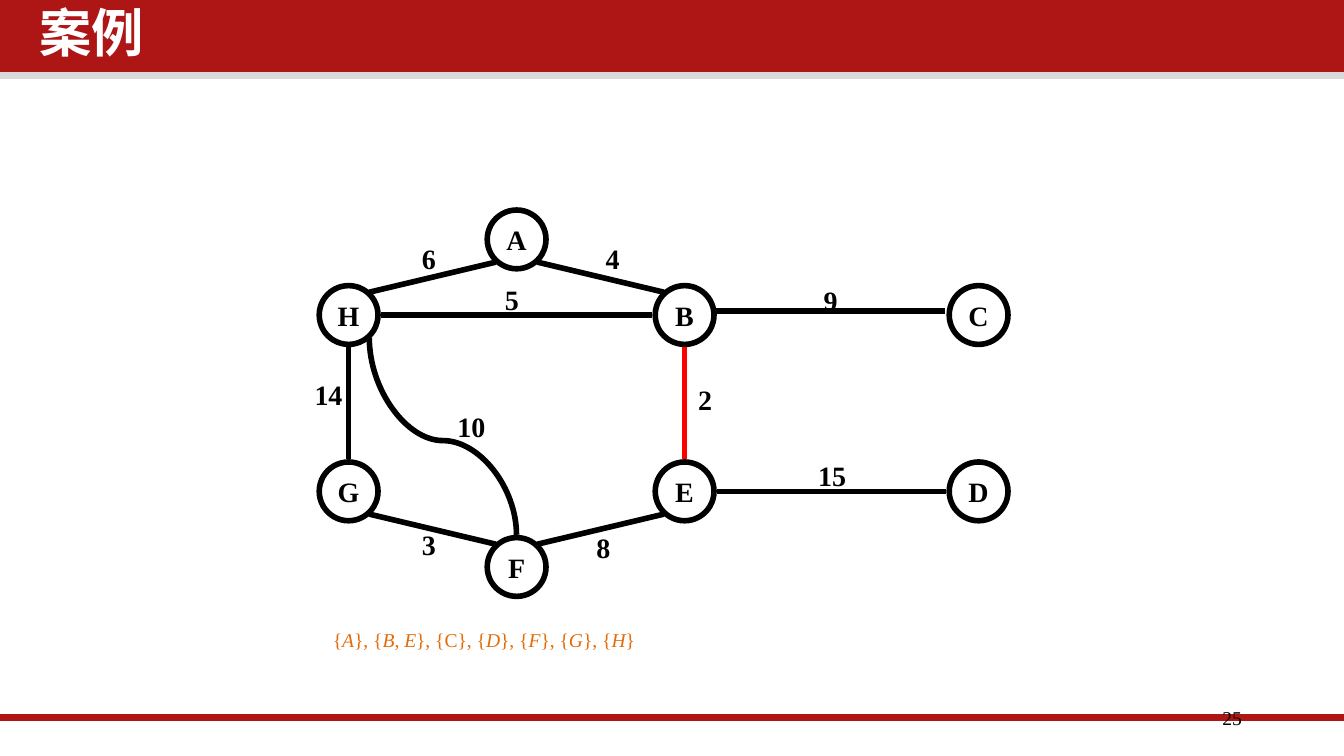
from math import copysign, sqrt

from lxml import etree
from pptx import Presentation
from pptx.dml.color import RGBColor
from pptx.enum import shapes, text
from pptx.oxml import ns
from pptx.util import Pt

BLACK = RGBColor(0x00, 0x00, 0x00)
WHITE = RGBColor(0xFF, 0xFF, 0xFF)
RED = RGBColor(0xFF, 0x00, 0x00)
CRIMSON = RGBColor(0xAE, 0x16, 0x16)
GREY = RGBColor(0xD9, 0xD9, 0xD9)
ORANGE = RGBColor(0xE3, 0x6C, 0x09)
SERIF = "Times New Roman"
CJK = "Noto Sans CJK SC"

# Content: node centres, edges (from, to, colour, shift), weights at their centres
TITLE = "案例"
PAGE = "25"
COLUMNS = (186.75, 276.75, 366.75, 524.25)
ROWS = (128.25, 168.75, 263.25, 303.75)
NODES = {"H": (0, 1), "B": (2, 1), "C": (3, 1), "G": (0, 2),
         "E": (2, 2), "D": (3, 2), "F": (1, 3), "A": (1, 0)}
EDGES = [
    ("A", "B", BLACK, (0, 0)), ("A", "H", BLACK, (0, 0)),
    ("H", "B", BLACK, (0, 0)), ("G", "H", BLACK, (0, 0)),
    ("G", "F", BLACK, (0, 0)), ("F", "E", BLACK, (0, 0)),
    ("E", "B", RED, (0, 0)), ("B", "C", BLACK, (-1, -2.25)),
    ("E", "D", BLACK, (0, 0)),
]
WEIGHTS = [
    ("14", 176, 211.25), ("10", 252.5, 228.5), ("3", 229.75, 291.5),
    ("6", 229.75, 138.5), ("4", 328.25, 138.5), ("5", 274.25, 160.25),
    ("2", 377.75, 214), ("9", 445, 161), ("15", 445.75, 254.5),
    ("8", 323.25, 293),
]
SETS = ["A", "B, E", "C", "D", "F", "G", "H"]
UPRIGHT = {"C", ", "}

DIAMETER = 31.5
LINE = 3
REACH = (DIAMETER + LINE) / 2  # centre to outer edge of a node
DIAGONAL_X = DIAMETER / 2 / sqrt(2)
DIAGONAL_Y = REACH / sqrt(2)

presentation = Presentation()
presentation.slide_width, presentation.slide_height = Pt(720), Pt(405)
slide = presentation.slides.add_slide(presentation.slide_layouts[5])


def set_all(target, values):
    for name, value in values.items():
        setattr(target, name, value)


def place(shape, left, top, width, height):
    set_all(shape, {"left": Pt(left), "top": Pt(top),
                    "width": Pt(width), "height": Pt(height)})


def add_run(paragraph, words, size, color, name=SERIF, **style):
    run = paragraph.add_run()
    run.text = words
    set_all(run.font, {"size": Pt(size), "name": name, **style})
    run.font.color.rgb = color
    return run


def add_label(words, left, top, width, height, size, align, wrap=False):
    box = slide.shapes.add_textbox(Pt(left), Pt(top), Pt(width), Pt(height))
    box.text_frame.word_wrap = wrap
    paragraph = box.text_frame.paragraphs[0]
    paragraph.alignment = align
    if words:
        add_run(paragraph, words, size, BLACK, bold=size > 12)
    return box


def add_line(kind, start, end, color, width=LINE):
    line = slide.shapes.add_connector(kind, *map(Pt, (*start, *end)))
    line.line.color.rgb = color
    line.line.width = Pt(width)
    etree.SubElement(line._element.spPr, ns.qn("a:effectLst"))
    return line


def centre(node):
    column, row = NODES[node]
    return COLUMNS[column], ROWS[row]


def edge_point(node, other):
    """Point on the node's rim, at one of eight directions, facing the other."""
    (x, y), (other_x, other_y) = centre(node), centre(other)
    dx, dy = other_x - x, other_y - y
    reach_x, reach_y = (DIAGONAL_X, DIAGONAL_Y) if dx and dy else (REACH, REACH)
    return (x + (copysign(reach_x, dx) if dx else 0),
            y + (copysign(reach_y, dy) if dy else 0))


# Header bands and footer rule
for color, top, height in ((GREY, 36, 6.3), (CRIMSON, 0, 38.6)):
    band = slide.shapes.add_shape(shapes.MSO_SHAPE.RECTANGLE,
                                  0, Pt(top), Pt(720), Pt(height))
    band.shadow.inherit = False
    band.fill.solid()
    band.fill.fore_color.rgb = color
    band.line.fill.background()
add_line(shapes.MSO_CONNECTOR.STRAIGHT, (-1.5, 384.5), (720, 384.5), CRIMSON, 4)

# Title, raised above the bands
title = slide.shapes.title
place(title, 16, 1, 550, 42.5)
set_all(title.text_frame, {
    "margin_left": Pt(5), "margin_right": Pt(5), "margin_top": Pt(2.7),
    "margin_bottom": Pt(2.7), "vertical_anchor": text.MSO_ANCHOR.TOP,
    "auto_size": text.MSO_AUTO_SIZE.NONE})
paragraph = title.text_frame.paragraphs[0]
set_all(paragraph, {"alignment": text.PP_ALIGN.LEFT, "line_spacing": 0.9})
run = add_run(paragraph, TITLE, 28, WHITE, CJK, bold=True)
etree.SubElement(run.font._element, ns.qn("a:ea"), typeface=CJK)
slide.shapes._spTree.append(title._element)

# Page number
page = add_label(PAGE, 508.25, 374.5, 162, 21.5, 10.5, text.PP_ALIGN.RIGHT, True)
set_all(page.text_frame, {"margin_left": Pt(5), "margin_right": Pt(5)})

# Nodes
for name in NODES:
    x, y = centre(name)
    node = slide.shapes.add_shape(shapes.MSO_SHAPE.OVAL, 0, 0, 0, 0)
    place(node, x - DIAMETER / 2, y - DIAMETER / 2, DIAMETER, DIAMETER)
    node.shadow.inherit = False
    node.fill.background()
    node.line.color.rgb = BLACK
    node.line.width = Pt(LINE)
    set_all(node.text_frame, {"word_wrap": False,
                              "vertical_anchor": text.MSO_ANCHOR.MIDDLE})
    paragraph = node.text_frame.paragraphs[0]
    paragraph.alignment = text.PP_ALIGN.CENTER
    add_run(paragraph, name, 15, BLACK, bold=True)

# Straight edges
for first, second, color, (dx, dy) in EDGES:
    ends = [(x + dx, y + dy) for x, y in
            (edge_point(first, second), edge_point(second, first))]
    add_line(shapes.MSO_CONNECTOR.STRAIGHT, *ends, color)

# Curved edge from F up to H: a flipped connector turned by 90 degrees
start_x, start_y = centre("F")[0], centre("F")[1] - REACH
end_x, end_y = edge_point("H", "F")
middle_x, middle_y = (start_x + end_x) / 2, (start_y + end_y) / 2
half_width, half_height = (start_y - end_y) / 2, (start_x - end_x) / 2
curve = add_line(shapes.MSO_CONNECTOR.CURVE,
                 (middle_x + half_width, middle_y - half_height),
                 (middle_x - half_width, middle_y + half_height), BLACK)
properties = curve._element.spPr
properties.find(ns.qn("a:xfrm")).set("rot", "5400000")
adjustments = properties.find(ns.qn("a:prstGeom")).find(ns.qn("a:avLst"))
etree.SubElement(adjustments, ns.qn("a:gd"), name="adj1", fmla="val 47800")

# Edge weights: side margins plus 7.5 points a digit, with a little slack
for weight, x, y in WEIGHTS:
    width = 16 + 7.5 * len(weight)
    label = add_label(weight, x - width / 2, y - 12.5, width, 25, 15,
                      text.PP_ALIGN.CENTER)
    label.text_frame.auto_size = text.MSO_AUTO_SIZE.SHAPE_TO_FIT_TEXT

# Current components: letters in italics, punctuation upright
caption = add_label("", 171.25, 332.75, 178, 20, 10.5, text.PP_ALIGN.LEFT)
caption.text_frame.auto_size = text.MSO_AUTO_SIZE.SHAPE_TO_FIT_TEXT
paragraph = caption.text_frame.paragraphs[0]
for index, members in enumerate(SETS):
    add_run(paragraph, "}, {" if index else "{", 10.5, ORANGE, italic=False)
    for part in members.replace(", ", "|, |").split("|"):
        add_run(paragraph, part, 10.5, ORANGE, italic=part not in UPRIGHT)
add_run(paragraph, "}", 10.5, ORANGE, italic=False)

presentation.save("out.pptx")
